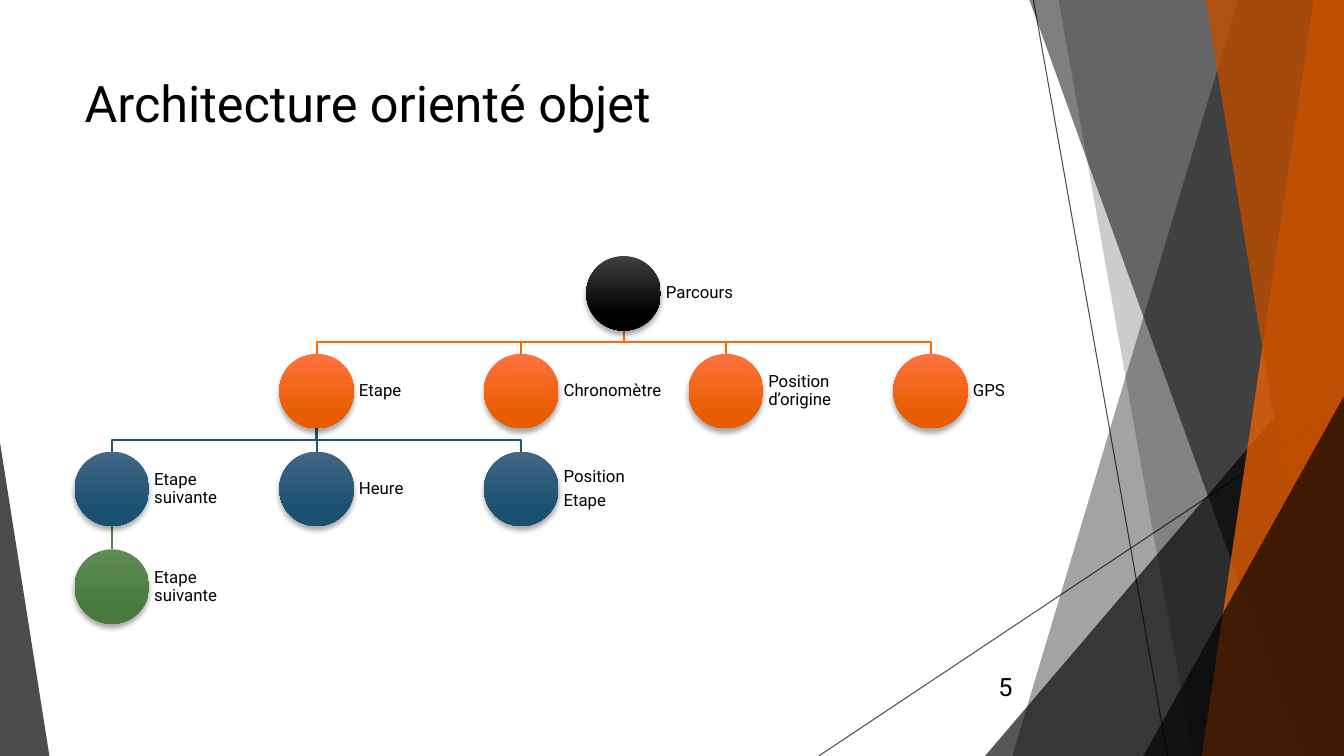
from lxml import etree
from pptx import Presentation
from pptx.dml.color import RGBColor
from pptx.enum import shapes, text
from pptx.oxml.ns import qn
from pptx.util import Inches, Pt

BLACK = RGBColor(0x00, 0x00, 0x00)
ORANGE = RGBColor(0xFF, 0x66, 0x00)
DARK_ORANGE = RGBColor(0xBF, 0x4D, 0x00)
BLUE = RGBColor(0x1B, 0x58, 0x7C)
GREEN = RGBColor(0x4E, 0x85, 0x42)

# Circle gradient (top, bottom) for each level of the tree
GRADIENTS = [
    (RGBColor(0x3F, 0x3F, 0x3F), BLACK),
    (RGBColor(0xFF, 0x72, 0x3F), RGBColor(0xE9, 0x5D, 0x00)),
    (RGBColor(0x43, 0x67, 0x85), RGBColor(0x19, 0x51, 0x71)),
    (RGBColor(0x5F, 0x8D, 0x56), RGBColor(0x47, 0x7A, 0x3C)),
]
LINK_COLORS = [None, ORANGE, BLUE, GREEN]  # link leading into each level

FONT = "Roboto"
WIDTH, HEIGHT = 13.33, 7.5
DIAMETER = 0.74
FIRST_X, COL_STEP = 1.11, 2.03
FIRST_Y, ROW_STEP = 2.54, 0.97

# Objects: (column, level, label paragraphs, index of parent)
NODES = [
    (2.5, 0, ["Parcours"], None),
    (1, 1, ["Etape"], 0),
    (2, 1, ["Chronomètre"], 0),
    (3, 1, ["Position d’origine"], 0),
    (4, 1, ["GPS"], 0),
    (0, 2, ["Etape suivante"], 1),
    (1, 2, ["Heure"], 1),
    (2, 2, ["Position", "Etape"], 1),
    (0, 3, ["Etape suivante"], 5),
]


def set_alpha(sp, percent):
    color = sp._element.spPr.find(".//" + qn("a:srgbClr"))
    etree.SubElement(color, qn("a:alpha"), val=str(percent * 1000))


def add_line(s, start, end, color, width):
    ends = [Inches(v) for v in (*start, *end)]
    line = s.shapes.add_connector(shapes.MSO_CONNECTOR.STRAIGHT, *ends)
    line.line.color.rgb = color
    line.line.width = Pt(width)
    etree.SubElement(line._element.spPr, qn("a:effectLst"))
    return line


def add_outline(s, points, close):
    (x, y), *rest = [(Inches(x), Inches(y)) for x, y in points]
    builder = s.shapes.build_freeform(x, y)
    builder.add_line_segments(rest, close=close)
    sp = builder.convert_to_shape()
    sp.shadow.inherit = False
    return sp


def paint(sp, color, alpha):
    sp.fill.solid()
    sp.fill.fore_color.rgb = color
    sp.line.fill.background()
    set_alpha(sp, alpha)


def add_band(s, top, bottom, color, alpha):
    """Band from a slanted left edge to the right edge of the slide."""
    points = [(top, 0), (WIDTH, 0), (WIDTH, HEIGHT), (bottom, HEIGHT)]
    paint(add_outline(s, points, True), color, alpha)


def add_triangle(s, x, y, w, apex, alpha):
    """Triangle standing on the bottom edge of the slide."""
    sp = s.shapes.add_shape(shapes.MSO_SHAPE.ISOSCELES_TRIANGLE, Inches(x),
                            Inches(y), Inches(w), Inches(HEIGHT - y))
    sp.adjustments[0] = apex
    sp.shadow.inherit = False
    paint(sp, BLACK, alpha)


def add_text(s, box, lines, size, anchor=text.MSO_ANCHOR.MIDDLE,
             align=text.PP_ALIGN.LEFT):
    tf = s.shapes.add_textbox(*[Inches(v) for v in box]).text_frame
    tf.word_wrap = True
    tf.vertical_anchor = anchor
    tf.text = "\n".join(lines)
    for p in tf.paragraphs:
        p.alignment = align
        p.font.size = Pt(size)
        p.font.name = FONT
        p.font.color.rgb = BLACK
    return tf


def node_position(col, level):
    """Centre x and top y of a circle."""
    return FIRST_X + col * COL_STEP, FIRST_Y + level * ROW_STEP


def add_link(s, parent, child, color):
    (x1, y1), (x2, y2) = parent, child
    y1 += DIAMETER
    if x1 == x2:
        add_line(s, (x1, y1), (x2, y2), color, 1.5)
        return
    middle = (y1 + y2) / 2
    sp = add_outline(s, [(x1, y1), (x1, middle), (x2, middle), (x2, y2)], False)
    sp.fill.background()
    sp.line.color.rgb = color
    sp.line.width = Pt(1.5)


def add_circle(s, x, y, colors):
    sp = s.shapes.add_shape(shapes.MSO_SHAPE.OVAL, Inches(x - DIAMETER / 2),
                            Inches(y), Inches(DIAMETER), Inches(DIAMETER))
    sp.fill.gradient()
    sp.fill.gradient_angle = 270
    for stop, color, position in zip(sp.fill.gradient_stops, colors, (0, 0.78)):
        stop.color.rgb = color
        stop.position = position
    sp.line.fill.background()
    # Soft shadow below the circle
    sp.shadow.inherit = False
    effects = sp._element.spPr.find(qn("a:effectLst"))
    shadow = etree.SubElement(effects, qn("a:outerShdw"), blurRad=str(Pt(4)),
                              dist=str(Pt(3)), dir="5400000", rotWithShape="0")
    color = etree.SubElement(shadow, qn("a:srgbClr"), val=str(BLACK))
    etree.SubElement(color, qn("a:alpha"), val="35000")


def add_label(s, x, y, lines):
    tf = add_text(s, (x + DIAMETER / 2, y, 1.1, DIAMETER), lines, 12)
    tf.margin_left = tf.margin_right = Inches(0.05)
    tf.margin_top = tf.margin_bottom = Inches(0.05)
    for p in tf.paragraphs:
        p.line_spacing = 0.9
        p.space_after = Pt(4.2)


def add_background(s):
    for start, end in [((10.25, 0), (11.58, HEIGHT)),
                       ((WIDTH, 4.03), (8.12, HEIGHT))]:
        set_alpha(add_line(s, start, end, BLACK, 0.75), 70)
    add_band(s, 12.28, 10.04, BLACK, 36)
    add_band(s, 10.5, 11.83, BLACK, 20)
    add_triangle(s, 9.77, 3.33, 3.56, 1, 66)
    add_band(s, 10.21, 12.91, BLACK, 50)
    add_band(s, 13.03, 11.92, ORANGE, 70)
    add_band(s, 11.96, 13.18, DARK_ORANGE, 80)
    add_triangle(s, 11.34, 3.93, 1.99, 1, 66)
    add_triangle(s, 0, 4.39, 0.49, 0, 70)


def add_tree(s):
    # Links lie behind the circles
    for col, level, _, parent in NODES:
        if parent is not None:
            add_link(s, node_position(*NODES[parent][:2]),
                     node_position(col, level), LINK_COLORS[level])
    for col, level, lines, _ in NODES:
        x, y = node_position(col, level)
        add_circle(s, x, y, GRADIENTS[level])
        add_label(s, x, y, lines)


def main():
    prs = Presentation()
    prs.slide_width, prs.slide_height = Inches(WIDTH), Inches(HEIGHT)
    s = prs.slides.add_slide(prs.slide_layouts[6])
    add_background(s)
    # Title and slide number
    add_text(s, (0.74, 0.67, 9.4, 1.44), ["Architecture orienté objet"], 36,
             anchor=text.MSO_ANCHOR.TOP)
    add_text(s, (9.39, 6.61, 0.75, 0.4), ["5"], 18,
             align=text.PP_ALIGN.RIGHT)
    add_tree(s)
    prs.save("out.pptx")


if __name__ == "__main__":
    main()
